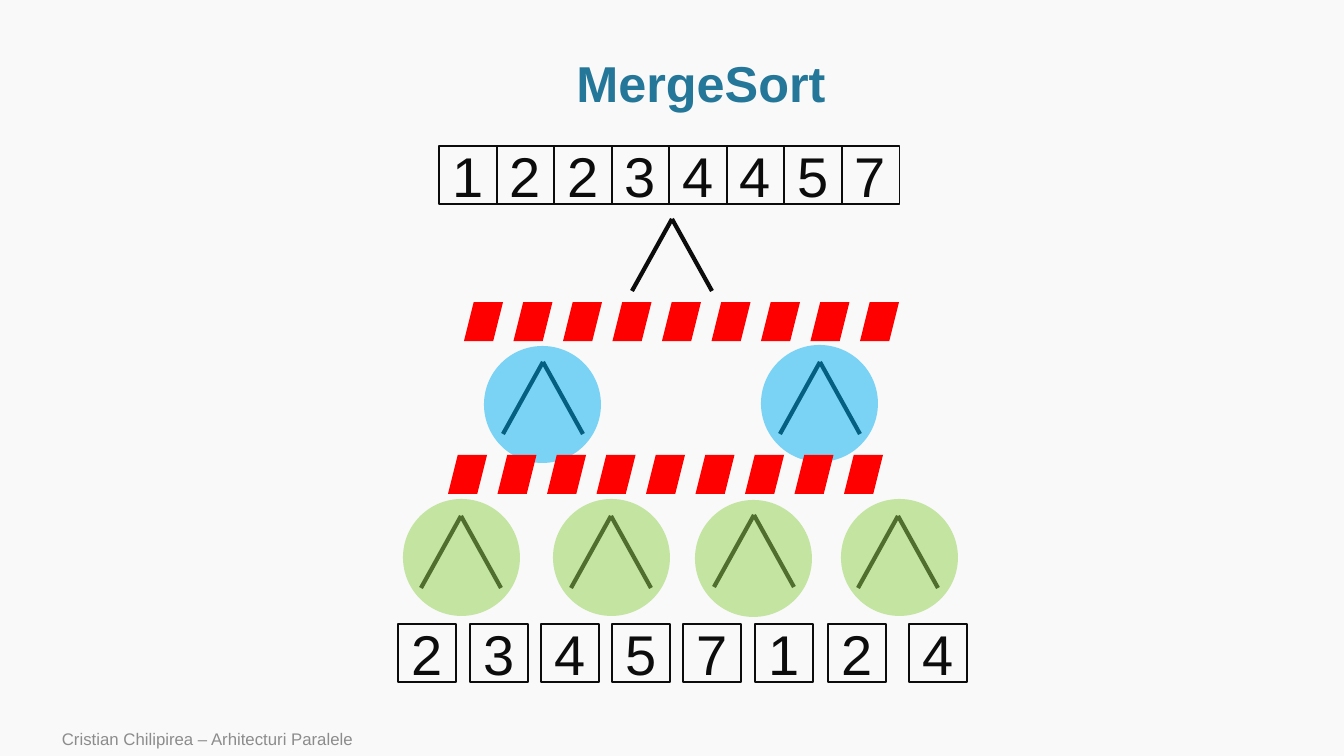
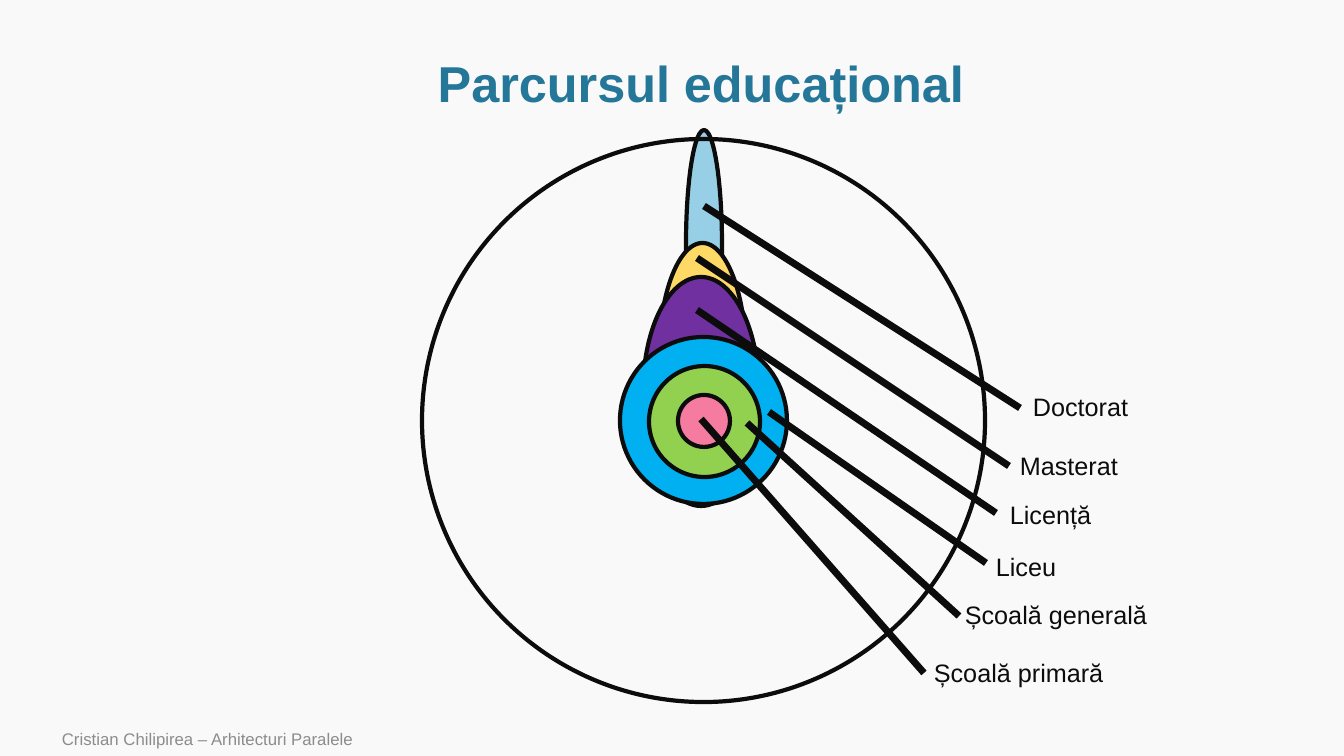
"""Build two slides: a merge sort tree and the path through education."""
from lxml import etree
from pptx import Presentation
from pptx.dml.color import RGBColor
from pptx.enum.shapes import MSO_CONNECTOR, MSO_SHAPE
from pptx.enum.text import MSO_ANCHOR, PP_ALIGN
from pptx.oxml.ns import qn
from pptx.util import Emu, Pt

RECT, OVAL, SLANT = MSO_SHAPE.RECTANGLE, MSO_SHAPE.OVAL, MSO_SHAPE.PARALLELOGRAM
LINE = MSO_CONNECTOR.STRAIGHT
TOP, MIDDLE = MSO_ANCHOR.TOP, MSO_ANCHOR.MIDDLE
LEFT, CENTER = PP_ALIGN.LEFT, PP_ALIGN.CENTER

PAPER = RGBColor(0xF9, 0xF9, 0xF9)
INK = RGBColor(0x0C, 0x0C, 0x0C)
GREY = RGBColor(0x8C, 0x8C, 0x8C)
TEAL = RGBColor(0x24, 0x77, 0x98)
RED = RGBColor(0xFF, 0x00, 0x00)
GREEN = RGBColor(0x92, 0xD0, 0x50)
BLUE = RGBColor(0x00, 0xB0, 0xF0)
SKY = RGBColor(0x97, 0xD0, 0xE6)
GOLD = RGBColor(0xFF, 0xD9, 0x66)
PURPLE = RGBColor(0x70, 0x30, 0xA0)
PINK = RGBColor(0xF5, 0x7B, 0xA1)

SCALE = 914400 / 100.8

TITLE = {
    "color": TEAL,
    "font": {"name": "Arial", "size": Pt(36), "bold": True},
    "para": {"alignment": CENTER, "line_spacing": 0.9},
    "frame": {"word_wrap": True, "vertical_anchor": MIDDLE},
}
FOOTER = {
    "color": GREY,
    "font": {"name": "Arial", "size": Pt(12)},
    "para": {"alignment": LEFT},
    "frame": {"word_wrap": True, "vertical_anchor": MIDDLE},
}
DIGIT = {
    "color": INK,
    "font": {"name": "Arial", "size": Pt(40)},
    "para": {"alignment": CENTER},
    "frame": {"word_wrap": True, "vertical_anchor": MIDDLE},
}
LABEL = {
    "color": INK,
    "font": {"name": "Arial", "size": Pt(18)},
    "para": {"alignment": LEFT},
    "frame": {"word_wrap": True, "vertical_anchor": TOP},
}


def draw(slide, kind, box, fill=None, width=0, alpha=100, text="", look=None):
    """Add a shape, or a text box when kind is None."""
    place = [Emu(round(n * SCALE)) for n in box]
    if kind is None:
        shape = slide.shapes.add_textbox(*place)
    else:
        shape = slide.shapes.add_shape(kind, *place)
        shape.shadow.inherit = False
        if fill is None:
            shape.fill.background()
        else:
            shape.fill.solid()
            shape.fill.fore_color.rgb = fill
        if alpha < 100:
            tint = shape.fill._xPr.find(qn("a:solidFill"))[0]
            etree.SubElement(tint, qn("a:alpha"), val=str(alpha * 1000))
        if width:
            shape.line.color.rgb = INK
            shape.line.width = Pt(width)
        else:
            shape.line.fill.background()
    if text:
        frame = shape.text_frame
        para = frame.paragraphs[0]
        run = para.add_run()
        run.text = text
        run.font.color.rgb = look["color"]
        for part, key in ((frame, "frame"), (para, "para"), (run.font, "font")):
            for name, value in look[key].items():
                setattr(part, name, value)


def link(slide, ends, width):
    """Add a straight ink line."""
    line = slide.shapes.add_connector(LINE, *[Emu(round(n * SCALE)) for n in ends])
    line.line.color.rgb = INK
    line.line.width = Pt(width)
    etree.SubElement(line._element.spPr, qn("a:effectLst"))


deck = Presentation()
deck.slide_width = Emu(round(1344 * SCALE))
deck.slide_height = Emu(round(756 * SCALE))
back = deck.slide_master.background.fill
back.solid()
back.fore_color.rgb = PAPER

slides = []
for title in ("MergeSort", "Parcursul educațional"):
    slide = deck.slides.add_slide(deck.slide_layouts[6])
    draw(slide, None, (115, 51, 1172, 70), text=title, look=TITLE)
    draw(slide, None, (52, 722, 847, 34),
         text="Cristian Chilipirea – Arhitecturi Paralele", look=FOOTER)
    slides.append(slide)
sort, school = slides

peaks = [(461, 516), (611, 516), (754, 515), (898, 516),
         (543, 362), (820, 362), (672, 219)]
for x, y in peaks:
    for side in (-40, 40):
        link(sort, (x + side, y + 72, x, y), 3)

for i, digit in enumerate("12234457"):
    draw(sort, RECT, (439 + 57.5 * i, 146, 58, 58), width=1, text=digit, look=DIGIT)
for x, digit in zip((398, 470, 541, 612, 683, 755, 828, 909), "23457124"):
    draw(sort, RECT, (x, 624, 58, 58), width=1, text=digit, look=DIGIT)

nodes = [(403, 499, GREEN), (553, 499, GREEN), (695, 500, GREEN),
         (841, 499, GREEN), (484, 346, BLUE), (761, 345, BLUE)]
for x, y, fill in nodes:
    draw(sort, OVAL, (x, y, 117, 117), fill, alpha=51)

for x, y in ((448, 455), (464, 302)):
    for i in range(9):
        draw(sort, SLANT, (x + 49.5 * i, y, 39, 39), RED)

rings = [
    (686, 130, 36, 229, SKY),
    (659, 243, 87, 229, GOLD),
    (643, 277, 116, 229, PURPLE),
    (620, 337, 167, 167, BLUE),
    (649, 366, 111, 111, GREEN),
    (678, 395, 52, 52, PINK),
    (422, 139, 563, 563, None),
]
for *box, fill in rings:
    draw(school, OVAL, box, fill, width=3)

stages = [
    ("Școală primară", (701, 419, 924, 673), 924, 652),
    ("Școală generală", (747, 423, 959, 616), 955, 594),
    ("Liceu", (769, 412, 986, 563), 986, 546),
    ("Licență", (697, 310, 996, 513), 1000, 494),
    ("Masterat", (697, 258, 1009, 466), 1010, 445),
    ("Doctorat", (704, 206, 1020, 408), 1023, 386),
]
for name, ends, x, y in stages:
    link(school, ends, 5)
    draw(school, None, (x, y, 220, 40), text=name, look=LABEL)

deck.save("out.pptx")
